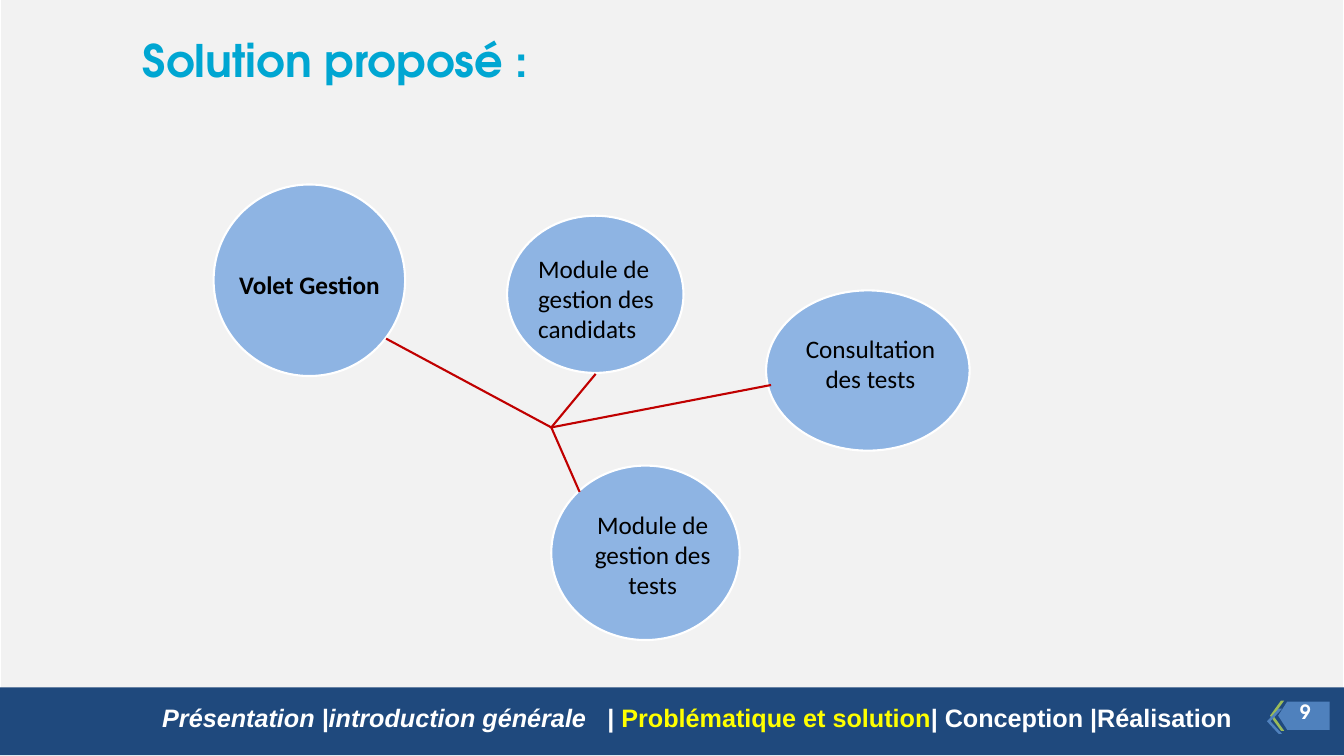
from lxml import etree
from pptx import Presentation
from pptx.dml.color import RGBColor
from pptx.enum.shapes import MSO_CONNECTOR as Connector, MSO_SHAPE as Preset
from pptx.enum.text import MSO_AUTO_SIZE as AutoSize, PP_ALIGN as Align
from pptx.oxml.ns import qn
from pptx.util import Pt

WIDTH, HEIGHT = 960, 540
NAVY, BLUE, GREEN = "1F497D", "4F81BD", "9BBB59"
WHITE, BLACK, YELLOW = "FFFFFF", "000000", "FFFF00"


def color(value):
    return RGBColor.from_string(value)


class SlideBuilder:
    """Holds the text style and the slide being filled; lengths are in points."""

    body = {"name": "Calibri", "size": 18, "color": BLACK, "bold": False, "italic": False}

    def __init__(self, slide):
        self.slide = slide

    def shape(self, preset, left, top, width, height, fill,
              line=None, line_width=1.5, rotation=0, adjustment=None):
        shape = self.slide.shapes.add_shape(preset, Pt(left), Pt(top), Pt(width), Pt(height))
        shape.shadow.inherit = False
        shape.rotation = rotation
        shape.fill.solid()
        shape.fill.fore_color.rgb = color(fill)
        if line:
            shape.line.color.rgb = color(line)
            shape.line.width = Pt(line_width)
        else:
            shape.line.fill.background()
        if adjustment is not None:
            shape.adjustments[0] = adjustment

    def connector(self, start, end, line="C00000", width=1.5):
        points = [Pt(value) for value in (*start, *end)]
        connector = self.slide.shapes.add_connector(Connector.STRAIGHT, *points)
        connector.line.color.rgb = color(line)
        connector.line.width = Pt(width)
        properties = connector._element.find(qn("p:spPr"))
        etree.SubElement(properties, qn("a:effectLst"))

    def text(self, left, top, width, height, runs,
             align=Align.CENTER, wrap=True, spacing=None, **style):
        """Add one paragraph; runs is a list of (text, style changes)."""
        box = self.slide.shapes.add_textbox(Pt(left), Pt(top), Pt(width), Pt(height))
        frame = box.text_frame
        frame.word_wrap = wrap
        frame.auto_size = AutoSize.SHAPE_TO_FIT_TEXT
        paragraph = frame.paragraphs[0]
        paragraph.alignment = align
        paragraph.line_spacing = spacing
        for words, changes in runs:
            run = paragraph.add_run()
            run.text = words
            for name, value in {**self.body, **style, **changes}.items():
                if name == "color":
                    run.font.color.rgb = color(value)
                else:
                    setattr(run.font, name, Pt(value) if name == "size" else value)


def add_diagram(builder):
    bubbles = [
        (152.6, 131.8, 136.8, 136.8),
        (362.2, 154.1, 126, 112.3),
        (547.2, 207.4, 145.4, 114.5),
        (393.8, 332.6, 134.6, 124.6),
    ]
    for bubble in bubbles:
        builder.shape(Preset.OVAL, *bubble, "8EB4E3", line=WHITE)

    hub = (393.8, 305.3)
    for spoke in [(275.8, 241.9), (550.8, 275), (425.5, 267.1), (414, 351.4)]:
        builder.connector(hub, spoke)

    builder.text(161, 188.6, 120, 28.8, [("Volet Gestion", {})], wrap=False, bold=True)
    labels = [
        (377.3, 177.1, 123.1, 72.7, "Module de gestion des candidats", Align.LEFT),
        (407.5, 360, 117.4, 72.7, "Module de gestion des tests", Align.CENTER),
        (560.2, 234.7, 123.1, 51.1, "Consultation des tests", Align.CENTER),
    ]
    for *place, words, align in labels:
        builder.text(*place, [(words, {})], align=align)


def add_footer(builder):
    builder.shape(Preset.RECTANGLE, 0, 491, WIDTH, 48.5, NAVY)
    footer = {"align": Align.RIGHT, "name": "Arial", "color": WHITE, "bold": True}
    builder.text(90, 498.2, 336, 28.8,
                 [("Présentation |introduction générale", {"italic": True})], **footer)
    builder.text(410, 498.2, 477, 28.8, [
        ("| ", {}),
        ("Problématique et solution", {"color": YELLOW}),
        ("| Conception |Réalisation", {}),
    ], **footer)

    builder.shape(Preset.CHEVRON, 907.2, 500.4, 10.1, 21.6, GREEN, rotation=180, adjustment=0.77)
    builder.shape(Preset.PENTAGON, 913, 501.1, 36.7, 20.2, BLUE, rotation=180, adjustment=0.32)
    builder.text(907.2, 496.1, 50.4, 24.5, [("9", {})],
                 name="TeX Gyre Adventor", size=14, color=WHITE, bold=True)
    builder.shape(Preset.CHEVRON, 905, 506.2, 10.8, 18, BLUE, rotation=180, adjustment=0.77)


def main():
    presentation = Presentation()
    presentation.slide_width, presentation.slide_height = Pt(WIDTH), Pt(HEIGHT)
    builder = SlideBuilder(presentation.slides.add_slide(presentation.slide_layouts[6]))

    builder.shape(Preset.RECTANGLE, 0, -8.6, WIDTH, 548.6, "F2F2F2", line=WHITE, line_width=0.75)
    builder.text(95, 30.2, 465.1, 34.6, [("Solution proposé :", {})], align=Align.LEFT,
                 spacing=0.7, name="TeX Gyre Adventor", size=32, color="00A6D2", bold=True)
    add_diagram(builder)
    add_footer(builder)
    presentation.save("out.pptx")


if __name__ == "__main__":
    main()
